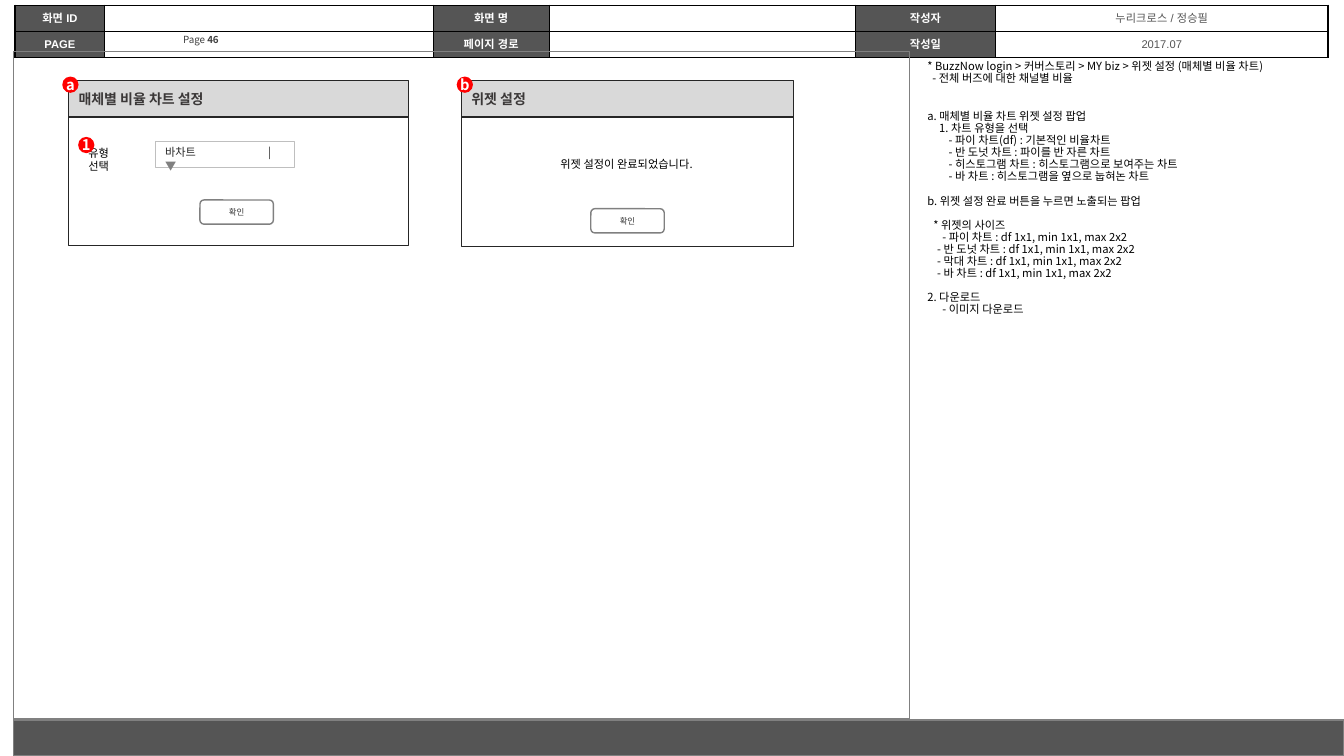
from dataclasses import dataclass
from typing import Any

from lxml.etree import SubElement
from pptx import Presentation
from pptx.dml.color import RGBColor
from pptx.enum.shapes import MSO_SHAPE as SHAPE
from pptx.enum.text import MSO_ANCHOR as ANCHOR, PP_ALIGN as ALIGN
from pptx.oxml.ns import qn
from pptx.util import Cm, Pt

BLACK = RGBColor(0x00, 0x00, 0x00)
WHITE = RGBColor(0xFF, 0xFF, 0xFF)
RED = RGBColor(0xFF, 0x00, 0x00)
DARK = RGBColor(0x55, 0x55, 0x55)
GRAY = RGBColor(0x80, 0x80, 0x80)
SILVER = RGBColor(0xBF, 0xBF, 0xBF)
TITLE_FILL = RGBColor(0xD9, 0xD9, 0xD9)
INK = RGBColor(0x26, 0x26, 0x26)
TITLE_INK = RGBColor(0x3B, 0x38, 0x38)
BUTTON_INK = RGBColor(0x37, 0x37, 0x37)
PAGE_INK = RGBColor(0x40, 0x40, 0x40)

SANS = "Noto Sans CJK KR"
BODY = {"name": SANS, "size": Pt(8)}
HEAD = {"name": "Arial", "size": Pt(8)}
MARGINS = ("margin_left", "margin_top", "margin_right", "margin_bottom")
LINE_PITCH = Pt(9.3)


@dataclass
class Box:
    x: float
    y: float
    w: float
    h: float

    def emu(self) -> tuple:
        return Cm(self.x), Cm(self.y), Cm(self.w), Cm(self.h)


@dataclass
class Popup:
    badge: str
    title: str
    x: float
    w: float
    body_h: float
    button_x: float
    button_y: float
    badge_x: float


@dataclass
class Note:
    text: str
    indent: float = 0
    before: float = 0


POPUPS = [
    Popup("a", "매체별 비율 차트 설정", 1.73, 8.57, 3.25, 5.04, 5.04, 1.57),
    Popup("b", "위젯 설정", 11.63, 8.38, 3.26, 14.89, 5.26, 11.51),
]

NOTES = [
    Note("* BuzzNow login > 커버스토리 > MY biz > 위젯 설정 (매체별 비율 차트)"),
    Note("- 전체 버즈에 대한 채널별 비율", 0.13),
    Note("a. 매체별 비율 차트 위젯 설정 팝업", 0, 18.6),
    Note("1. 차트 유형을 선택", 0.3),
    Note("- 파이 차트(df) : 기본적인 비율차트", 0.54),
    Note("- 반 도넛 차트 : 파이를 반 자른 차트", 0.54),
    Note("- 히스토그램 차트 : 히스토그램으로 보여주는 차트", 0.54),
    Note("- 바 차트 : 히스토그램을 옆으로 눕혀논 차트", 0.54),
    Note("b. 위젯 설정 완료 버튼을 누르면 노출되는 팝업", 0, 9),
    Note("* 위젯의 사이즈", 0.15, 8.6),
    Note("- 파이 차트 : df 1x1, min 1x1, max 2x2", 0.38),
    Note("- 반 도넛 차트 : df 1x1, min 1x1, max 2x2", 0.25),
    Note("- 막대 차트 : df 1x1, min 1x1, max 2x2", 0.25),
    Note("- 바 차트 : df 1x1, min 1x1, max 2x2", 0.25),
    Note("2. 다운로드", 0, 8.6),
    Note("- 이미지 다운로드", 0.38),
]

HEADER_COLS = [2.26, 8.28, 2.92, 7.72, 3.53, 8.38]
HEADER_ROWS = [
    ["화면 ID", "", "화면 명", "", "작성자", "누리크로스 / 정승필"],
    ["PAGE", "", "페이지 경로", "", "작성일", "2017.07"],
]


def add_run(p: Any, text: str, color: RGBColor, fmt: dict) -> None:
    r = p.add_run()
    r.text = text
    for name, value in fmt.items():
        setattr(r.font, name, value)
    r.font.color.rgb = color
    SubElement(r.font._element, qn("a:ea")).set("typeface", fmt["name"])


def add_box(s: Any, kind: Any, box: Box, fill: Any = None, line: Any = None, width: float = 0.75) -> Any:
    sp = s.shapes.add_shape(kind, *box.emu())
    sp.shadow.inherit = False
    if fill is None:
        sp.fill.background()
    else:
        sp.fill.solid()
        sp.fill.fore_color.rgb = fill
    if line is None:
        sp.line.fill.background()
    else:
        sp.line.color.rgb = line
        sp.line.width = Pt(width)
    return sp


def write(sp: Any, text: str, color: RGBColor, fmt: dict, align: Any = ALIGN.LEFT, anchor: Any = ANCHOR.MIDDLE) -> Any:
    tf = sp.text_frame
    tf.word_wrap = True
    tf.vertical_anchor = anchor
    p = tf.paragraphs[0]
    p.alignment = align
    add_run(p, text, color, fmt)
    return p


def add_badge(s: Any, label: str, x: float, y: float) -> None:
    sp = add_box(s, SHAPE.OVAL, Box(x, y, 0.41, 0.41), RED)
    for margin in MARGINS:
        setattr(sp.text_frame, margin, 0)
    write(sp, label, WHITE, {"name": SANS, "size": Pt(10.5), "bold": True}, ALIGN.CENTER)
    sp.text_frame.word_wrap = False


def add_header(s: Any) -> None:
    box = Box(0.38, 0.13, sum(HEADER_COLS), 1.32)
    table = s.shapes.add_table(len(HEADER_ROWS), len(HEADER_COLS), *box.emu()).table
    table.first_row = table.horz_banding = False
    for col, w in zip(table.columns, HEADER_COLS):
        col.width = Cm(w)
    for row, texts in zip(table.rows, HEADER_ROWS):
        row.height = Cm(0.66)
        for i, (cell, text) in enumerate(zip(row.cells, texts)):
            is_label = i % 2 == 0
            for margin, value in zip(MARGINS, (0.28, 0.13, 0.28, 0.13)):
                setattr(cell, margin, Cm(value))
            cell.vertical_anchor = ANCHOR.MIDDLE
            p = cell.text_frame.paragraphs[0]
            p.alignment = ALIGN.CENTER
            if text:
                add_run(p, text, WHITE if is_label else DARK, HEAD | {"bold": is_label})
            else:
                SubElement(p._p, qn("a:endParaRPr")).set("sz", "800")
            # Borders come before the fill in the cell properties
            tc_pr = cell._tc.get_or_add_tcPr()
            for side in ("a:lnL", "a:lnR", "a:lnT", "a:lnB"):
                ln = SubElement(tc_pr, qn(side), w=str(Pt(1)))
                solid = SubElement(ln, qn("a:solidFill"))
                SubElement(solid, qn("a:srgbClr"), val=str(BLACK))
            if is_label:
                cell.fill.solid()
                cell.fill.fore_color.rgb = DARK
            else:
                cell.fill.background()


def add_popup(s: Any, popup: Popup) -> None:
    title = add_box(s, SHAPE.RECTANGLE, Box(popup.x, 2.03, popup.w, 0.92), TITLE_FILL, INK)
    write(title, popup.title, TITLE_INK, {"name": SANS, "size": Pt(10), "bold": True})
    add_box(s, SHAPE.RECTANGLE, Box(popup.x, 2.95, popup.w, popup.body_h), None, INK)
    button = add_box(s, SHAPE.ROUNDED_RECTANGLE, Box(popup.button_x, popup.button_y, 1.85, 0.61), WHITE, GRAY, 1)
    write(button, "확인", BUTTON_INK, {"name": SANS, "size": Pt(6)}, ALIGN.CENTER)
    add_badge(s, popup.badge, popup.badge_x, 1.93)


def add_notes(s: Any) -> None:
    tf = s.shapes.add_textbox(*Box(23.12, 1.4, 10.36, 16.43).emu()).text_frame
    tf.word_wrap = True
    for i, note in enumerate(NOTES):
        p = tf.add_paragraph() if i else tf.paragraphs[0]
        p.line_spacing = Pt(8.6)
        p.space_before = Pt(note.before)
        p._p.get_or_add_pPr().set("marL", str(Cm(note.indent)))
        add_run(p, note.text, BLACK, BODY)


def main() -> None:
    prs = Presentation()
    prs.slide_width, prs.slide_height = Cm(33.87), Cm(19.05)
    s = prs.slides.add_slide(prs.slide_layouts[6])

    # Page frame
    add_header(s)
    add_box(s, SHAPE.RECTANGLE, Box(0.34, 1.3, 22.58, 16.82), None, GRAY)
    add_box(s, SHAPE.RECTANGLE, Box(0.34, 18.14, 33.53, 0.91), DARK, GRAY, 1)
    page = s.shapes.add_textbox(*Box(3.25, 0.68, 3.63, 0.64).emu())
    p = write(page, "Page ", PAGE_INK, BODY | {"size": Pt(7)}, ALIGN.CENTER)
    add_run(p, "46", PAGE_INK, BODY | {"size": Pt(7), "bold": True})

    # Popups
    for popup in POPUPS:
        add_popup(s, popup)

    # Chart type selector
    label = s.shapes.add_textbox(*Box(1.98, 3.58, 1.5, 0.61).emu())
    write(label, "유형 선택", BLACK, BODY, anchor=ANCHOR.TOP).line_spacing = LINE_PITCH
    select = add_box(s, SHAPE.RECTANGLE, Box(3.91, 3.56, 3.51, 0.66), WHITE, SILVER)
    p = write(select, "바차트\t|", INK, BODY, anchor=ANCHOR.TOP)
    p.line_spacing = LINE_PITCH
    p.add_line_break()
    add_run(p, "▼", GRAY, BODY)
    tabs = SubElement(p._p.get_or_add_pPr(), qn("a:tabLst"))
    SubElement(tabs, qn("a:tab"), pos=str(Cm(2.6)), algn="l")
    add_badge(s, "1", 1.97, 3.45)

    # Confirmation message
    message = s.shapes.add_textbox(*Box(11.6, 3.84, 8.38, 0.61).emu())
    write(message, "위젯 설정이 완료되었습니다.", BLACK, BODY, ALIGN.CENTER)

    add_notes(s)
    prs.save("out.pptx")


if __name__ == "__main__":
    main()
